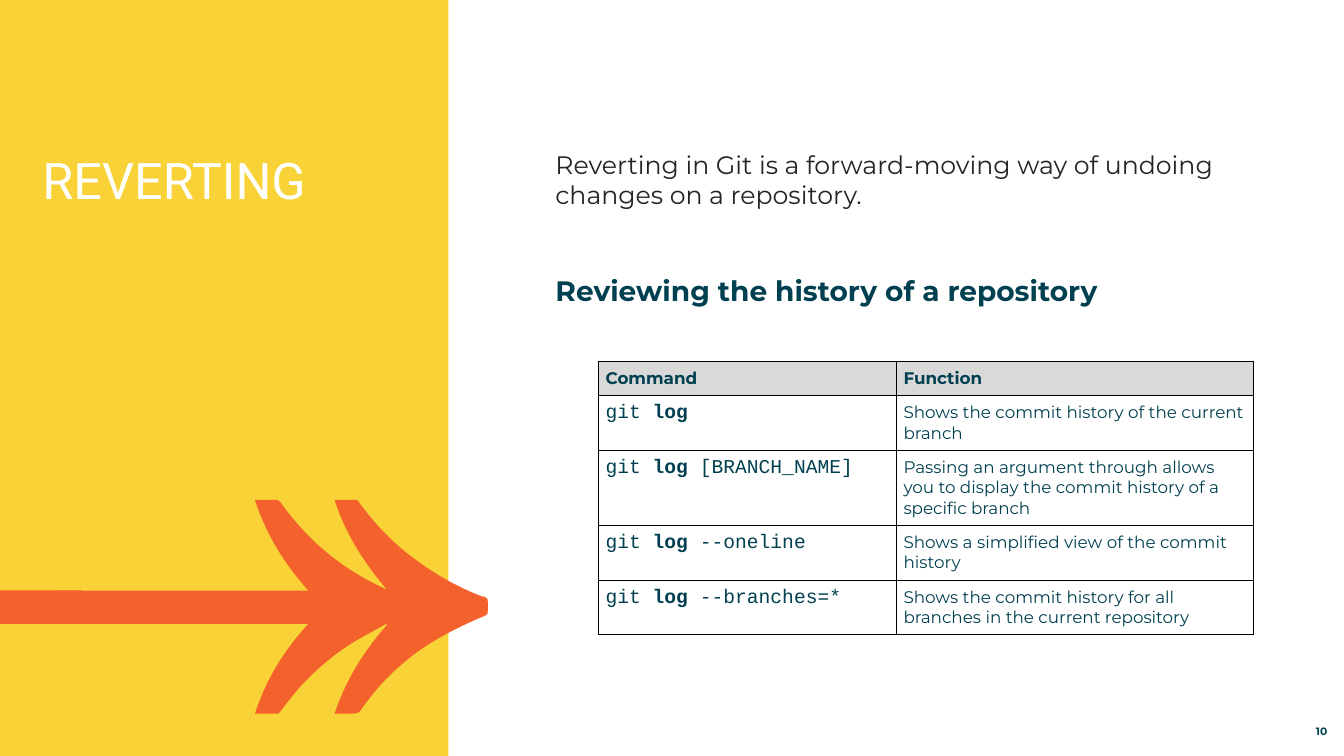
"""Build the slide on reverting and reviewing history in Git."""
from lxml.etree import SubElement
from pptx import Presentation
from pptx.dml.color import RGBColor
from pptx.enum.shapes import MSO_SHAPE as Shape
from pptx.enum.text import MSO_ANCHOR as Anchor, PP_ALIGN as Align
from pptx.oxml.ns import qn
from pptx.util import Cm, Pt

COLORS = {"yellow": "F8D237", "orange": "F3612C", "white": "FFFFFF", "teal": "004050",
          "ink": "212529", "header": "D9D9D9", "border": "000000"}


def style(part, font, size, color, bold=False):
    part.font.name, part.font.size, part.font.bold = font, Pt(size), bold
    part.font.color.rgb = RGBColor.from_string(COLORS[color])


def add_text(left, top, width, height):
    frame = slide.shapes.add_textbox(Cm(left), Cm(top), Cm(width), Cm(height)).text_frame
    frame.word_wrap = True
    frame.margin_left = frame.margin_top = frame.margin_right = frame.margin_bottom = 0
    return frame


deck = Presentation()
deck.slide_width, deck.slide_height = Cm(33.87), Cm(19.05)
slide = deck.slides.add_slide(deck.slide_layouts[6])

panel = slide.shapes.add_shape(Shape.RECTANGLE, 0, 0, Cm(11.3), Cm(19.05))

ARROW_LEFT, ARROW_TOP = 54, 496
arrow_edge = [
    [(54, 586)],
    [(306, 586)],
    [(282, 559), (264, 530), (253, 496)],
    [(261, 496), (268, 496), (275, 496)],
    [(276, 496), (277, 497), (278, 498)],
    [(291, 516), (306, 533), (324, 548)],
    [(342, 563), (362, 575), (384, 585)],
    [(361, 558), (343, 530), (332, 496)],
    [(339, 496), (347, 496), (354, 496)],
    [(355, 496), (356, 497), (356, 498)],
    [(372, 520), (390, 539), (412, 555)],
    [(432, 570), (455, 583), (479, 592)],
    [(479, 592), (480, 592), (481, 592)],
    [(483, 593), (485, 595), (484, 597)],
    [(484, 598), (484, 598), (484, 598)],
    [(484, 601), (484, 604), (484, 606)],
    [(485, 609), (483, 610), (481, 611)],
    [(459, 620), (437, 631), (418, 644)],
    [(395, 660), (375, 680), (359, 703)],
    [(357, 707), (354, 708), (350, 708)],
    [(344, 708), (338, 708), (332, 708)],
    [(343, 675), (361, 646), (384, 620)],
    [(383, 619)],
    [(374, 624), (365, 629), (356, 634)],
    [(335, 646), (316, 662), (299, 680)],
    [(292, 688), (285, 697), (278, 706)],
    [(277, 707), (276, 708), (276, 708)],
    [(268, 708), (261, 708), (253, 708)],
    [(264, 674), (282, 645), (306, 619)],
    [(306, 619), (138, 619), (54, 619)],
]
builder = slide.shapes.build_freeform(ARROW_LEFT, 619, scale=Cm(0.0254))
builder.add_line_segments([segment[-1] for segment in arrow_edge], close=True)
arrow = builder.convert_to_shape()
for line, segment in zip(list(arrow._element.iter(qn("a:lnTo"))), arrow_edge):
    if len(segment) == 3:
        line.clear()
        line.tag = qn("a:cubicBezTo")
        for x, y in segment:
            SubElement(line, qn("a:pt"), x=str(x - ARROW_LEFT), y=str(y - ARROW_TOP))

tail = slide.shapes.add_shape(Shape.RECTANGLE, 0, Cm(14.88), Cm(2.06), Cm(0.84))

for shape, color in ((panel, "yellow"), (arrow, "orange"), (tail, "orange")):
    shape.shadow.inherit = False
    shape.fill.solid()
    shape.fill.fore_color.rgb = RGBColor.from_string(COLORS[color])
    shape.line.fill.background()

title = add_text(1.07, 3.76, 9.58, 7.65).paragraphs[0]
title.text = "REVERTING"
style(title, "Roboto", 36, "white")

body = add_text(14, 3.76, 18.8, 14.2)
intro = body.paragraphs[0]
intro.text = "Reverting in Git is a forward-moving way of undoing changes on a repository."
style(intro, "Montserrat", 18, "ink")
heading = body.add_paragraph()
heading.text = "Reviewing the history of a repository"
heading.space_before = Pt(45.3)
style(heading, "Montserrat", 20, "teal", True)

number_frame = add_text(31.27, 18.08, 2.18, 0.51)
number_frame.vertical_anchor = Anchor.BOTTOM
number = number_frame.paragraphs[0]
number.text = "10"
number.alignment = Align.RIGHT
style(number, "Montserrat", 7.6, "teal", True)

commands = [
    ("", "Shows the commit history of the current branch"),
    (" [BRANCH_NAME]", "Passing an argument through allows you to display the commit history "
                       "of a specific branch"),
    (" --oneline", "Shows a simplified view of the commit history"),
    (" --branches=*", "Shows the commit history for all branches in the current repository"),
]
table = slide.shapes.add_table(5, 2, Cm(15.09), Cm(9.12), Cm(16.51), Cm(6.83)).table
table.first_row = table.horz_banding = False
for column, width in zip(table.columns, (7.51, 9)):
    column.width = Cm(width)
for row, height in zip(table.rows, (0.81, 1.38, 1.89, 1.38, 1.38)):
    row.height = Cm(height)

for cell, label in zip(table.rows[0].cells, ("Command", "Function")):
    cell.text = label
    style(cell.text_frame.paragraphs[0], "Montserrat", 12, "teal", True)
for index, (option, function) in enumerate(commands, 1):
    command = table.cell(index, 0).text_frame.paragraphs[0]
    for text, bold in (("git ", False), ("log", True), (option, False)):
        if text:
            run = command.add_run()
            run.text = text
            style(run, "Courier New", 14, "teal", bold)
    description = table.cell(index, 1).text_frame.paragraphs[0]
    description.text = function
    style(description, "Montserrat", 12, "teal")

for index, row in enumerate(table.rows):
    for cell in row.cells:
        cell.margin_left = cell.margin_right = Cm(0.17)
        cell.margin_top = cell.margin_bottom = Cm(0.17)
        properties = cell._tc.get_or_add_tcPr()
        for side in ("a:lnL", "a:lnR", "a:lnT", "a:lnB"):
            border = SubElement(properties, qn(side), w=str(Pt(0.75)))
            fill = SubElement(border, qn("a:solidFill"))
            SubElement(fill, qn("a:srgbClr"), val=COLORS["border"])
        if index == 0:
            cell.fill.solid()
            cell.fill.fore_color.rgb = RGBColor.from_string(COLORS["header"])
        else:
            cell.fill.background()

deck.save("out.pptx")
